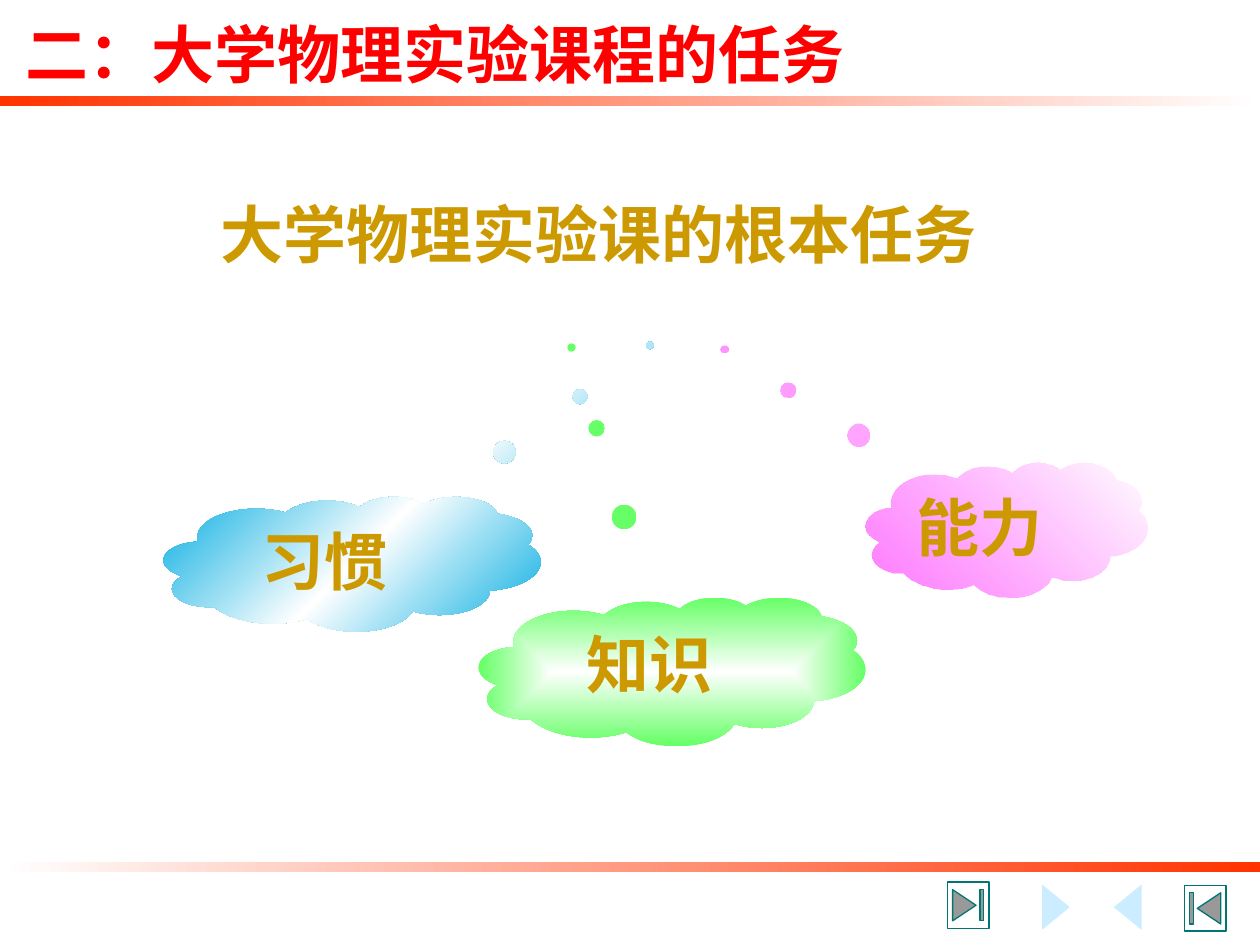
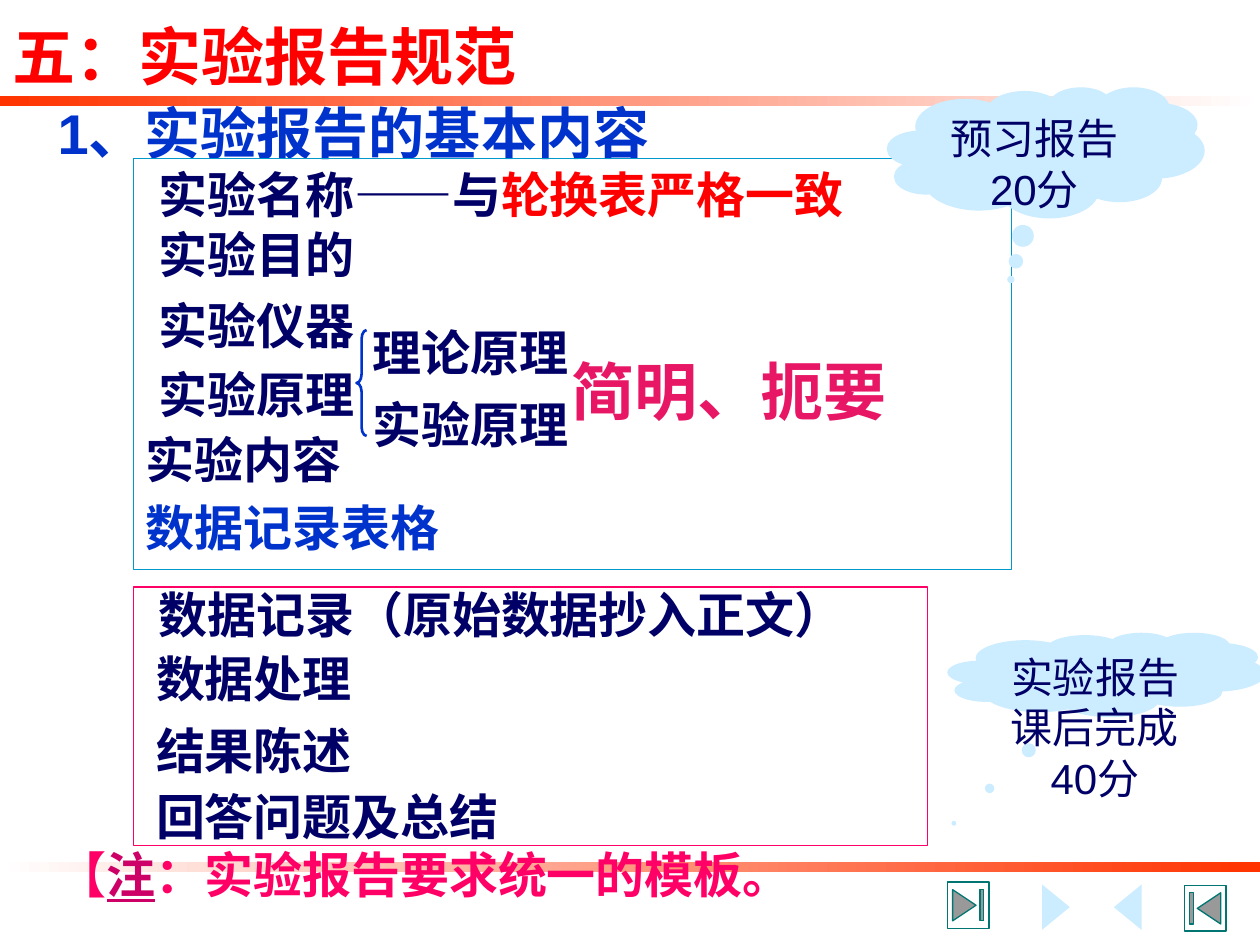
from pptx import Presentation
from pptx.dml.color import RGBColor
from pptx.enum import shapes, text
from pptx.oxml import parse_xml
from pptx.oxml.ns import nsdecls, qn
from pptx.util import Inches, Pt

RED, NAVY, BLUE, GOLD = "FF0000", "000066", "0033CC", "CC9900"
PALE, TEAL, PINK, ORANGE, WHITE = "CCECFF", "007572", "FF0066", "FF3300", "FFFFFF"
CJK = "Noto Sans CJK SC"
SERIF = "Times New Roman"
PRESET = shapes.MSO_SHAPE
LEFT, CENTER = text.PP_ALIGN.LEFT, text.PP_ALIGN.CENTER


def rgb(hex_code):
    return RGBColor.from_string(hex_code)


def gradient_xml(stops, angle=None):
    """Stops are (position %, colour, opacity %); no angle means from the centre outwards."""
    marks = "".join(
        f'<a:gs pos="{pos * 1000}"><a:srgbClr val="{colour}">'
        f'<a:alpha val="{opacity * 1000}"/></a:srgbClr></a:gs>'
        for pos, colour, opacity in stops)
    if angle is None:
        course = ('<a:path path="rect"><a:fillToRect l="50000" t="50000" '
                  'r="50000" b="50000"/></a:path>')
    else:
        course = f'<a:lin ang="{angle * 60000}" scaled="1"/>'
    return parse_xml(f'<a:gradFill {nsdecls("a")} rotWithShape="1">'
                     f'<a:gsLst>{marks}</a:gsLst>{course}</a:gradFill>')


class Deck:
    def __init__(self):
        self.prs = Presentation()
        self.prs.slide_width, self.prs.slide_height = Inches(10), Inches(7.5)
        self.slide = None

    def new_slide(self, heading, left, top, width, height, spacing=None):
        self.slide = self.prs.slides.add_slide(self.prs.slide_layouts[5])
        title = self.slide.shapes.title
        title.left, title.top = Inches(left), Inches(top)
        title.width, title.height = Inches(width), Inches(height)
        frame = title.text_frame
        frame.auto_size = text.MSO_AUTO_SIZE.NONE
        frame.word_wrap = True
        frame.vertical_anchor = text.MSO_ANCHOR.TOP
        para = frame.paragraphs[0]
        para.alignment = LEFT
        para.line_spacing = spacing
        run = self.run(para, heading, 36, RED, SERIF)
        run.font._element.find(qn("a:latin")).addprevious(parse_xml(
            f'<a:effectLst {nsdecls("a")}><a:outerShdw dist="38100" dir="2700000">'
            '<a:srgbClr val="C0C0C0"/></a:outerShdw></a:effectLst>'))
        self.furniture()

    def furniture(self):
        """Gradient bands and navigation buttons found on every slide."""
        for left, angle in ((8.2, 90), (8.77, 270)):
            arrow = self.shape(PRESET.ISOSCELES_TRIANGLE, left, 7.09, 0.36, 0.22, PALE)
            arrow.rotation = angle
        for top, start, end in ((0.76, ORANGE, WHITE), (6.84, WHITE, ORANGE)):
            band = self.shape(PRESET.RECTANGLE, 0, top, 10, 0.08)
            self.gradient(band, [(0, start, 100), (100, end, 100)], 0)
        self.shape(PRESET.ACTION_BUTTON_END, 7.52, 7, 0.33, 0.37, WHITE, TEAL)
        self.shape(PRESET.ACTION_BUTTON_BEGINNING, 9.4, 7.03, 0.33, 0.36, WHITE, TEAL)

    def shape(self, preset, left, top, width, height, fill=None, line=None, weight=0.75):
        shape = self.slide.shapes.add_shape(
            preset, Inches(left), Inches(top), Inches(width), Inches(height))
        shape.shadow.inherit = False
        if fill:
            shape.fill.solid()
            shape.fill.fore_color.rgb = rgb(fill)
        else:
            shape.fill.background()
        if line:
            shape.line.color.rgb = rgb(line)
            shape.line.width = Pt(weight)
        else:
            shape.line.fill.background()
        return shape

    def gradient(self, shape, stops, angle=None):
        props = shape.element.spPr
        props.replace(props.find(qn("a:noFill")), gradient_xml(stops, angle))

    def run(self, para, words, size, colour, font="Arial", bold=True, underline=False):
        run = para.add_run()
        run.text = words
        run.font.size, run.font.bold, run.font.name = Pt(size), bold, font
        run.font.underline = underline
        run.font.color.rgb = rgb(colour)
        run.font._element.find(qn("a:latin")).addnext(
            parse_xml(f'<a:ea {nsdecls("a")} typeface="{CJK}"/>'))
        return run

    def label(self, left, top, parts, size=28, font="Arial"):
        """One line of text; parts are (words, colour) or (words, colour, underline)."""
        length = sum(len(words) for words, *_ in parts)
        box = self.slide.shapes.add_textbox(
            Inches(left), Inches(top), Inches(length * size / 72 + 0.4), Inches(size / 50))
        box.text_frame.word_wrap = True
        para = box.text_frame.paragraphs[0]
        for words, colour, *underline in parts:
            self.run(para, words, size, colour, font, underline=bool(underline))

    def cloud(self, left, top, width, height, tail, words, size, colour,
              fill=None, bold=True, align=LEFT, inset=0.1):
        cloud = self.shape(PRESET.CLOUD_CALLOUT, left, top, width, height, fill)
        cloud.adjustments[0], cloud.adjustments[1] = tail
        frame = cloud.text_frame
        frame.word_wrap = True
        frame.vertical_anchor = text.MSO_ANCHOR.TOP
        frame.margin_left = Inches(inset)
        para = frame.paragraphs[0]
        para.alignment = align
        self.run(para, words, size, colour, bold=bold)
        return cloud


def tasks_slide(deck):
    deck.new_slide("二：大学物理实验课程的任务", 0.1, -0.11, 7.2, 0.88, 1.3)
    deck.label(1.65, 1.5, [("大学物理实验课的根本任务", GOLD)], 36, CJK)
    sky, green = "05ADE1", "66FF66"
    goals = [
        ("习惯", (1.3, 3.94, 2.99, 1.07), (0.79, -1.62), 0.36,
         [(0, sky, 100), (50, WHITE, 100), (100, sky, 100)], 45),
        ("知识", (3.8, 4.74, 3.07, 1.18), (-0.26, -2.18), 0.43,
         [(0, WHITE, 100), (100, green, 100)], None),
        ("能力", (6.87, 3.67, 2.24, 1.07), (-1, -1.34), 0.1,
         [(0, "FF66FF", 87), (100, WHITE, 100)], 315),
    ]
    for words, place, tail, inset, stops, angle in goals:
        goal = deck.cloud(*place, tail, words, 36, GOLD, inset=inset)
        deck.gradient(goal, stops, angle)


def report_slide(deck):
    deck.new_slide("五：实验报告规范", 0, 0.09, 5.79, 0.7)
    deck.label(0.36, 0.73, [("1、实验报告的基本内容", BLUE)], 32)

    deck.label(1.16, 1.26, [("实验名称——与", NAVY), ("轮换表严格一致", RED)])
    sections = [
        (1.16, 1.73, "实验目的", NAVY),
        (1.16, 2.3, "实验仪器", NAVY),
        (1.16, 2.84, "实验原理", NAVY),
        (2.86, 2.51, "理论原理", NAVY),
        (2.86, 3.08, "实验原理", NAVY),
        (1.06, 3.36, "实验内容", NAVY),
        (1.06, 3.9, "数据记录表格", BLUE),
        (1.16, 4.59, "数据记录（原始数据抄入正文）", NAVY),
        (1.14, 5.1, "数据处理", NAVY),
        (1.14, 5.67, "结果陈述", NAVY),
        (1.14, 6.19, "回答问题及总结", NAVY),
    ]
    for left, top, words, colour in sections:
        deck.label(left, top, [(words, colour)])
    brace = deck.shape(PRESET.LEFT_BRACE, 2.83, 2.62, 0.08, 0.84, line=BLUE, weight=1.5)
    brace.adjustments[0] = 0.87
    deck.label(4.44, 2.75, [("简明、扼要", "E81766")], 36, CJK)
    deck.label(0.36, 6.65, [("【", PINK), ("注", "CC0066", True),
                            ("：实验报告要求统一的模板。", PINK)], font=SERIF)

    deck.shape(PRESET.RECTANGLE, 1.06, 1.26, 6.97, 3.26, line="0099CC")
    deck.shape(PRESET.RECTANGLE, 1.06, 4.66, 6.3, 2.05, line=PINK)
    scores = [
        ("预习报告20分", (7.04, 0.69, 2.52, 1.04), (-0.11, 0.97)),
        ("实验报告课后完成40分", (7.52, 5.02, 2.52, 0.67), (-0.48, 1.76)),
    ]
    for words, place, tail in scores:
        deck.cloud(*place, tail, words, 24, NAVY, PALE, bold=False, align=CENTER)


def main():
    deck = Deck()
    tasks_slide(deck)
    report_slide(deck)
    deck.prs.save("out.pptx")


if __name__ == "__main__":
    main()
